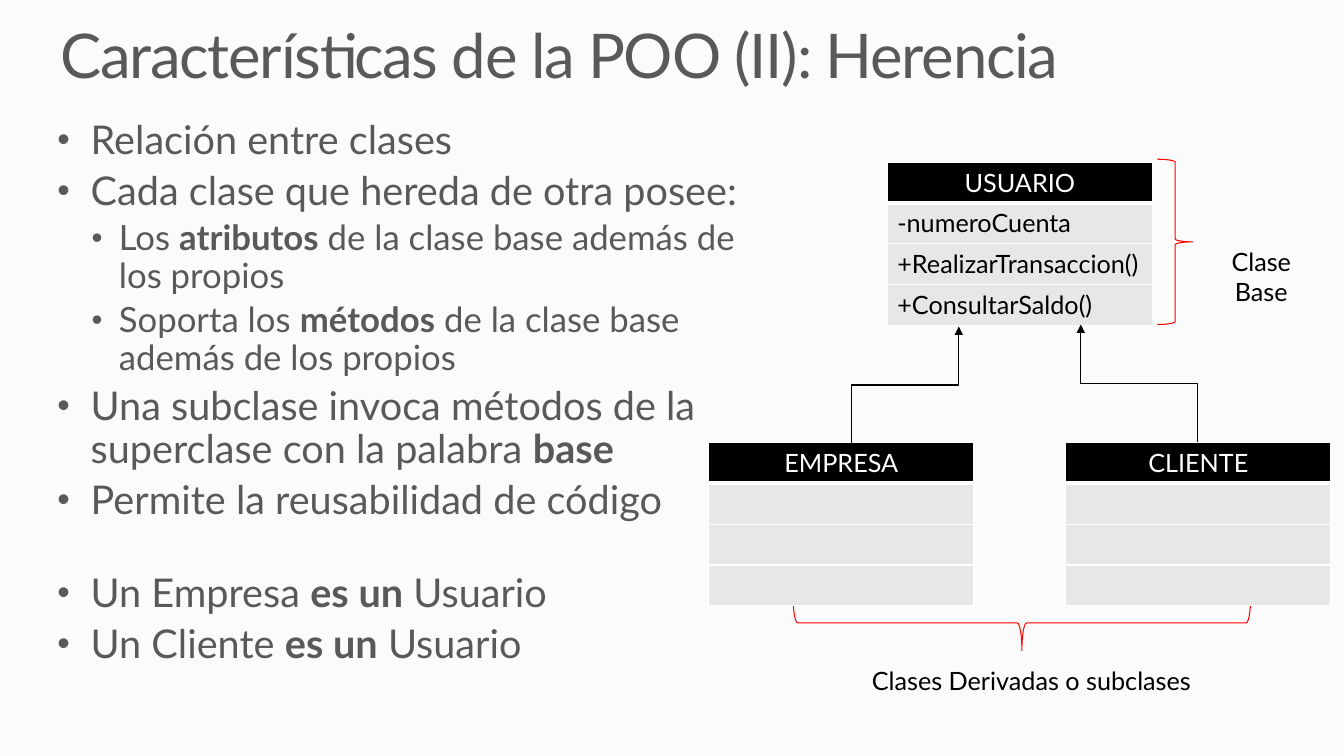
"""Build the slide on inheritance in object-oriented programming."""
import pptx
import pptx.dml.color
import pptx.enum.shapes
import pptx.enum.text
import pptx.oxml
import pptx.oxml.ns
import pptx.util
from lxml import etree

PX = 9144
FONT = "Lato"
BACKGROUND = pptx.dml.color.RGBColor(0xFB, 0xFB, 0xFB)
GRAY = pptx.dml.color.RGBColor(0x59, 0x59, 0x59)
BLACK = pptx.dml.color.RGBColor(0x00, 0x00, 0x00)
WHITE = pptx.dml.color.RGBColor(0xFF, 0xFF, 0xFF)
RED = pptx.dml.color.RGBColor(0xFF, 0x00, 0x00)
CELL_GRAY = pptx.dml.color.RGBColor(0xE7, 0xE7, 0xE7)
CENTER = pptx.enum.text.PP_ALIGN.CENTER
LEFT = pptx.enum.text.PP_ALIGN.LEFT


def write(paragraph, text, size=18, color=BLACK, align=LEFT, line_spacing=1.0, space_before=0):
    """Fill a paragraph, with bold between double asterisks."""
    paragraph.alignment = align
    paragraph.line_spacing = line_spacing
    paragraph.space_before = pptx.util.Pt(space_before)
    for index, part in enumerate(text.split("**")):
        if part:
            run = paragraph.add_run()
            run.text = part
            run.font.name = FONT
            run.font.size = pptx.util.Pt(size)
            run.font.bold = index % 2 == 1
            run.font.color.rgb = color


def add_frame(left, top, width, height, margin_x=0, margin_y=0):
    """Add a wrapping text box and return its text frame."""
    box = slide.shapes.add_textbox(left * PX, top * PX, width * PX, height * PX)
    frame = box.text_frame
    frame.word_wrap = True
    frame.margin_left = frame.margin_right = margin_x * PX
    frame.margin_top = frame.margin_bottom = margin_y * PX
    return frame


presentation = pptx.Presentation()
presentation.slide_width = 1333 * PX
presentation.slide_height = 750 * PX
slide = presentation.slides.add_slide(presentation.slide_layouts[6])
slide.background.fill.solid()
slide.background.fill.fore_color.rgb = BACKGROUND

title = add_frame(60, 25, 1220, 67).paragraphs[0]
write(title, "Características de la POO (II): Herencia", size=44, color=GRAY, line_spacing=0.9)
title.runs[0].font._element.set("spc", "-90")

LEVELS = [(28.3, 33, 33), (24.8, 61, 27)]
bullets = [
    (0, 0, "Relación entre clases"),
    (0, 6, "Cada clase que hereda de otra posee:"),
    (1, 5, "Los **atributos** de la clase base además de los propios"),
    (1, 5, "Soporta los **métodos** de la clase base además de los propios"),
    (0, 6, "Una subclase invoca métodos de la superclase con la palabra **base**"),
    (0, 6, "Permite la reusabilidad de código"),
    (0, 36, "Un Empresa **es un** Usuario"),
    (0, 6, "Un Cliente **es un** Usuario"),
]
body = add_frame(57, 119, 680, 550)
for index, (level, space_before, text) in enumerate(bullets):
    paragraph = body.add_paragraph() if index else body.paragraphs[0]
    size, margin, hanging = LEVELS[level]
    write(paragraph, text, size=size, color=GRAY, line_spacing=0.9, space_before=space_before)
    paragraph.level = level
    properties = paragraph._p.get_or_add_pPr()
    properties.set("marL", str(margin * PX))
    properties.set("indent", str(-hanging * PX))
    for tag, name, value in [("a:buSzPct", "val", "90000"), ("a:buFont", "typeface", "Arial"),
                             ("a:buChar", "char", "•")]:
        etree.SubElement(properties, pptx.oxml.ns.qn(tag)).set(name, value)

braces = [(1148, 158, 35, 164, 0), (986, 391, 55, 454, 90)]
for left, top, width, height, rotation in braces:
    brace = slide.shapes.add_shape(pptx.enum.shapes.MSO_SHAPE.RIGHT_BRACE,
                                   left * PX, top * PX, width * PX, height * PX)
    brace.rotation = rotation
    brace.shadow.inherit = False
    brace.fill.background()
    brace.line.color.rgb = RED
    brace.line.width = pptx.util.Pt(0.75)

labels = [("Clase Base", 1201, 239, 100, 70), ("Clases Derivadas o subclases", 843, 655, 360, 40)]
for text, *place in labels:
    write(add_frame(*place, margin_x=10, margin_y=5).paragraphs[0], text, align=CENTER)

class_tables = [
    (880, 161, ["USUARIO", "-numeroCuenta", "+RealizarTransaccion()", "+ConsultarSaldo()"]),
    (703, 439, ["EMPRESA", "", "", ""]),
    (1057, 439, ["CLIENTE", "", "", ""]),
]
for left, top, rows in class_tables:
    table = slide.shapes.add_table(len(rows), 1, left * PX, top * PX, 263 * PX, 162 * PX).table
    for index, text in enumerate(rows):
        header = index == 0
        cell = table.cell(index, 0)
        write(cell.text_frame.paragraphs[0], text, color=WHITE if header else BLACK,
              align=CENTER if header else LEFT)
        for side in "LRTB":
            points = 3 if header and side == "B" else 1
            cell._tc.get_or_add_tcPr().append(pptx.oxml.parse_xml(
                f'<a:ln{side} {pptx.oxml.ns.nsdecls("a")} w="{points * 12700}">'
                f'<a:solidFill><a:srgbClr val="{WHITE}"/></a:solidFill></a:ln{side}>'))
        cell.fill.solid()
        cell.fill.fore_color.rgb = BLACK if header else CELL_GRAY

inheritance_arrows = [(845, 440, 951, 324, 1), (1188, 439, 1072, 322, -1)]
for child_x, child_y, base_x, base_y, turn in inheritance_arrows:
    center_x, center_y = (child_x + base_x) / 2, (child_y + base_y) / 2
    reach_x = turn * (child_y - center_y)
    reach_y = -turn * (child_x - center_x)
    arrow = slide.shapes.add_connector(
        pptx.enum.shapes.MSO_CONNECTOR.ELBOW,
        int((center_x + reach_x) * PX), int((center_y + reach_y) * PX),
        int((center_x - reach_x) * PX), int((center_y - reach_y) * PX))
    arrow.line.color.rgb = BLACK
    arrow.line.width = pptx.util.Pt(0.75)
    shape_properties = arrow._element.spPr
    shape_properties.find(pptx.oxml.ns.qn("a:xfrm")).set("rot", str(turn * 90 % 360 * 60000))
    line = shape_properties.find(pptx.oxml.ns.qn("a:ln"))
    etree.SubElement(line, pptx.oxml.ns.qn("a:tailEnd")).set("type", "triangle")
    etree.SubElement(shape_properties, pptx.oxml.ns.qn("a:effectLst"))

presentation.save("out.pptx")
